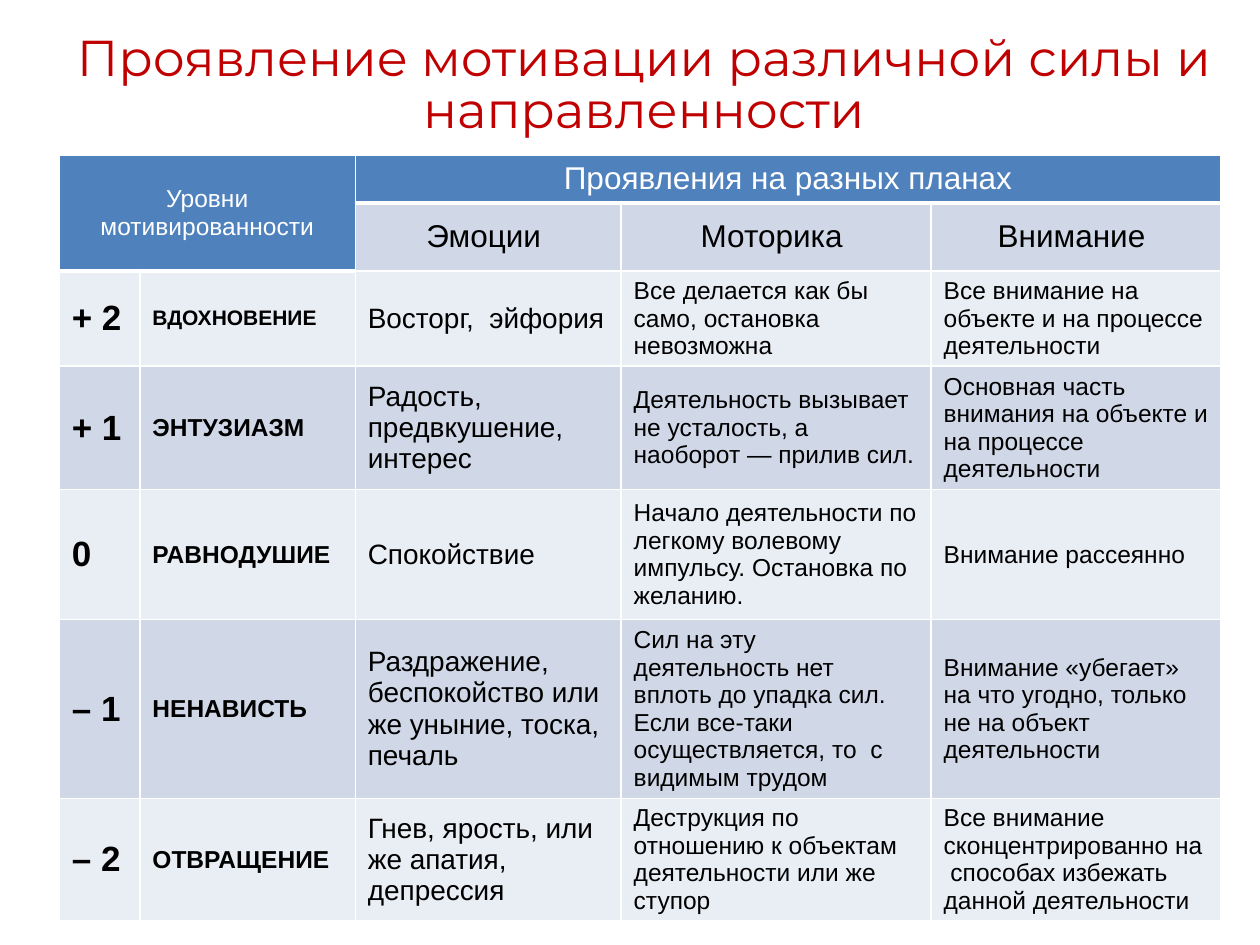
from dataclasses import dataclass
from typing import NamedTuple

from lxml.etree import SubElement
from pptx import Presentation
from pptx.dml.color import RGBColor as Rgb
from pptx.enum.text import MSO_ANCHOR as Anchor, PP_ALIGN as Align
from pptx.oxml.ns import qn
from pptx.util import Inches, Pt


@dataclass(frozen=True)
class Theme:
    red: str = "C00000"
    blue: str = "4F81BD"
    dark: str = "D0D8E8"
    pale: str = "E9EDF4"
    white: str = "FFFFFF"
    black: str = "000000"
    head: str = "Montserrat"
    body: str = "Arial"
    title: float = 28.8
    level: int = 20
    plan: int = 18
    mood: int = 16
    note: int = 14
    small: int = 12


class Level(NamedTuple):
    mark: str
    name: str
    mood: str
    motor: str
    focus: str
    size: int


class Look(NamedTuple):
    fill: str
    size: int
    ink: str = "000000"
    bold: bool = False
    align: Align = Align.LEFT


T = Theme()
COLS = [0.64, 1.71, 2.11, 2.46, 2.3]
ROWS = [0.38, 0.54, 0.75, 0.98, 1.03, 1.42, 0.97]
PLANS = ["Эмоции ", "Моторика ", "Внимание "]
LEVELS = [
    Level("+ 2", "ВДОХНОВЕНИЕ", "Восторг,  эйфория",
          "Все делается как бы само, остановка невозможна",
          "Все внимание на объекте и на процессе деятельности", T.small),
    Level("+ 1", "ЭНТУЗИАЗМ", "Радость, предвкушение, интерес",
          "Деятельность вызывает не усталость, а наоборот ― прилив сил.",
          "Основная часть внимания на объекте и на процессе деятельности", T.note),
    Level("0", "РАВНОДУШИЕ", "Спокойствие",
          "Начало деятельности по легкому волевому импульсу. Остановка по желанию.",
          "Внимание рассеянно", T.note),
    Level("– 1", "НЕНАВИСТЬ", "Раздражение, беспокойство или же уныние, тоска, печаль",
          "Сил на эту деятельность нет вплоть до упадка сил.  "
          "Если все-таки осуществляется, то  с видимым трудом",
          "Внимание «убегает» на что угодно, только не на объект деятельности", T.note),
    Level("– 2", "ОТВРАЩЕНИЕ", "Гнев, ярость, или же апатия, депрессия",
          "Деструкция по отношению к объектам деятельности или же ступор",
          "Все внимание сконцентрированно на  способах избежать данной деятельности",
          T.note),
]


def add_run(para, text: str, font: str, size: float, ink: str, bold: bool = False) -> None:
    run = para.add_run()
    run.text = text
    run.font.name = font
    run.font.size = Pt(size)
    run.font.bold = bold
    run.font.color.rgb = Rgb.from_string(ink)


def add_edges(cell, base: float = 1) -> None:
    """Draw white borders; base is the width of the bottom one in points."""
    props = cell._tc.get_or_add_tcPr()
    for spot, (side, width) in enumerate(zip("LRTB", (1, 1, 1, base))):
        line = SubElement(props, qn(f"a:ln{side}"), w=str(Pt(width)))
        fill = SubElement(line, qn("a:solidFill"))
        SubElement(fill, qn("a:srgbClr"), val=T.white)
        props.insert(spot, line)  # borders come before the cell fill


def fill_cell(cell, text: str, look: Look) -> None:
    cell.fill.solid()
    cell.fill.fore_color.rgb = Rgb.from_string(look.fill)
    cell.vertical_anchor = Anchor.MIDDLE
    para = cell.text_frame.paragraphs[0]
    para.alignment = look.align
    para.space_before = para.space_after = Pt(6)
    add_run(para, text, T.body, look.size, look.ink, look.bold)


def add_title(slide) -> None:
    title = slide.shapes.title
    title.left, title.top = Inches(0.5), Inches(0.3)
    title.width, title.height = Inches(9.22), Inches(0.77)
    title.text_frame.word_wrap = True
    title.text_frame.vertical_anchor = Anchor.MIDDLE
    para = title.text_frame.paragraphs[0]
    para.alignment = Align.CENTER
    para.line_spacing = Pt(30)
    add_run(para, "Проявление мотивации различной силы и направленности",
            T.head, T.title, T.red)


def add_grid(slide) -> None:
    table = slide.shapes.add_table(
        len(ROWS), len(COLS), Inches(0.47), Inches(1.23),
        Inches(sum(COLS)), Inches(sum(ROWS))).table
    for col, width in zip(table.columns, COLS):
        col.width = Inches(width)
    for row, height in zip(table.rows, ROWS):
        row.height = Inches(height)

    table.cell(0, 0).merge(table.cell(1, 1))
    table.cell(0, 2).merge(table.cell(0, 4))
    fill_cell(table.cell(0, 0), "Уровни мотивированности",
              Look(T.blue, T.note, T.white, align=Align.CENTER))
    fill_cell(table.cell(0, 2), "Проявления на разных планах",
              Look(T.blue, T.plan, T.white, align=Align.CENTER))
    for col, plan in enumerate(PLANS, 2):
        fill_cell(table.cell(1, col), plan, Look(T.dark, T.plan, align=Align.CENTER))

    for row, level in enumerate(LEVELS, 2):
        tint = T.dark if row % 2 else T.pale
        looks = [Look(tint, T.level, bold=True), Look(tint, level.size, bold=True),
                 Look(tint, T.mood), Look(tint, T.note), Look(tint, T.note)]
        for col, look in enumerate(looks):
            fill_cell(table.cell(row, col), level[col], look)

    heads = (table.cell(0, 0), table.cell(0, 2))
    for cell in table.iter_cells():
        add_edges(cell, 3 if cell in heads else 1)


def main() -> None:
    deck = Presentation()
    deck.slide_width, deck.slide_height = Inches(10), Inches(7.5)
    slide = deck.slides.add_slide(deck.slide_layouts[5])
    add_title(slide)
    add_grid(slide)
    deck.save("out.pptx")


if __name__ == "__main__":
    main()
